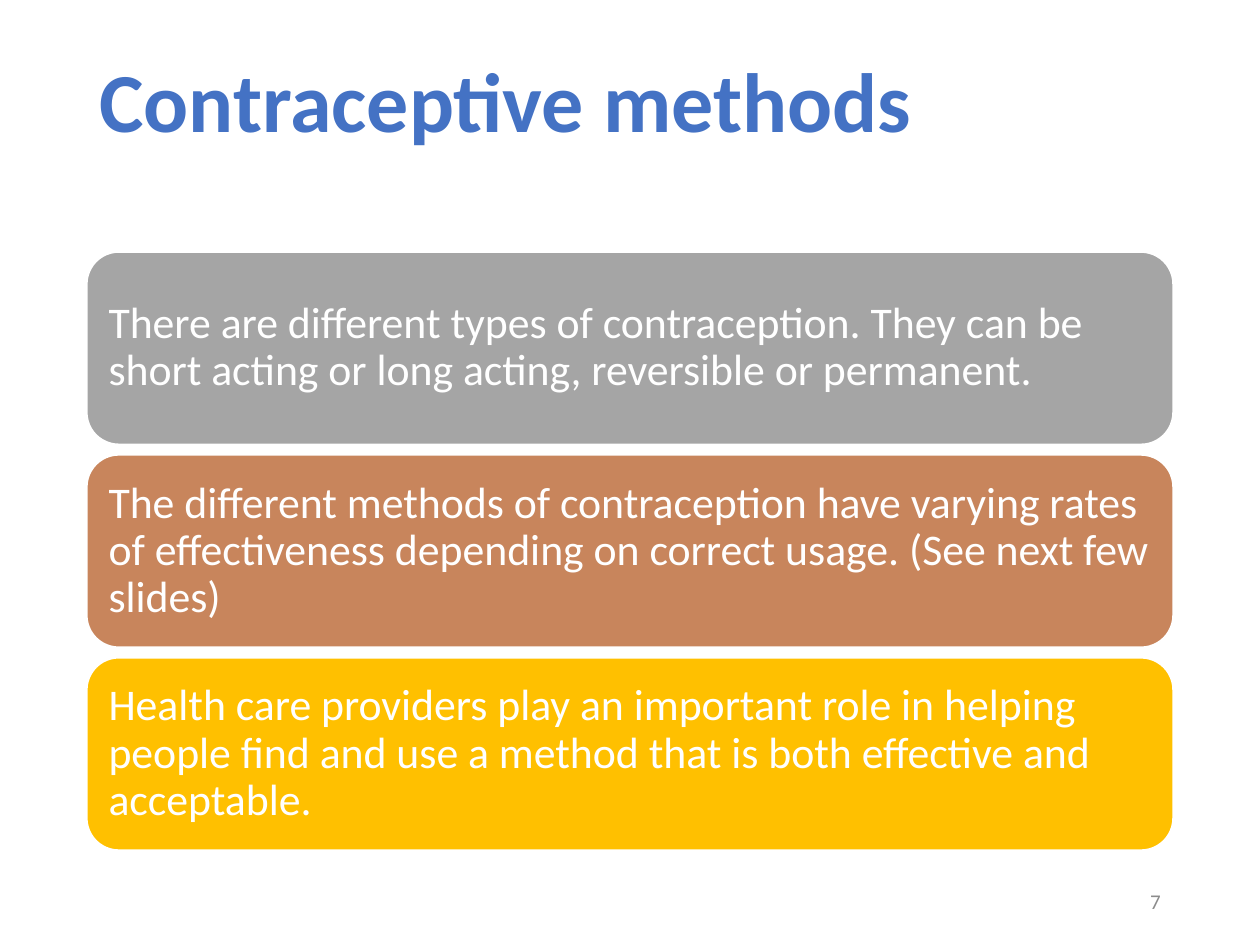
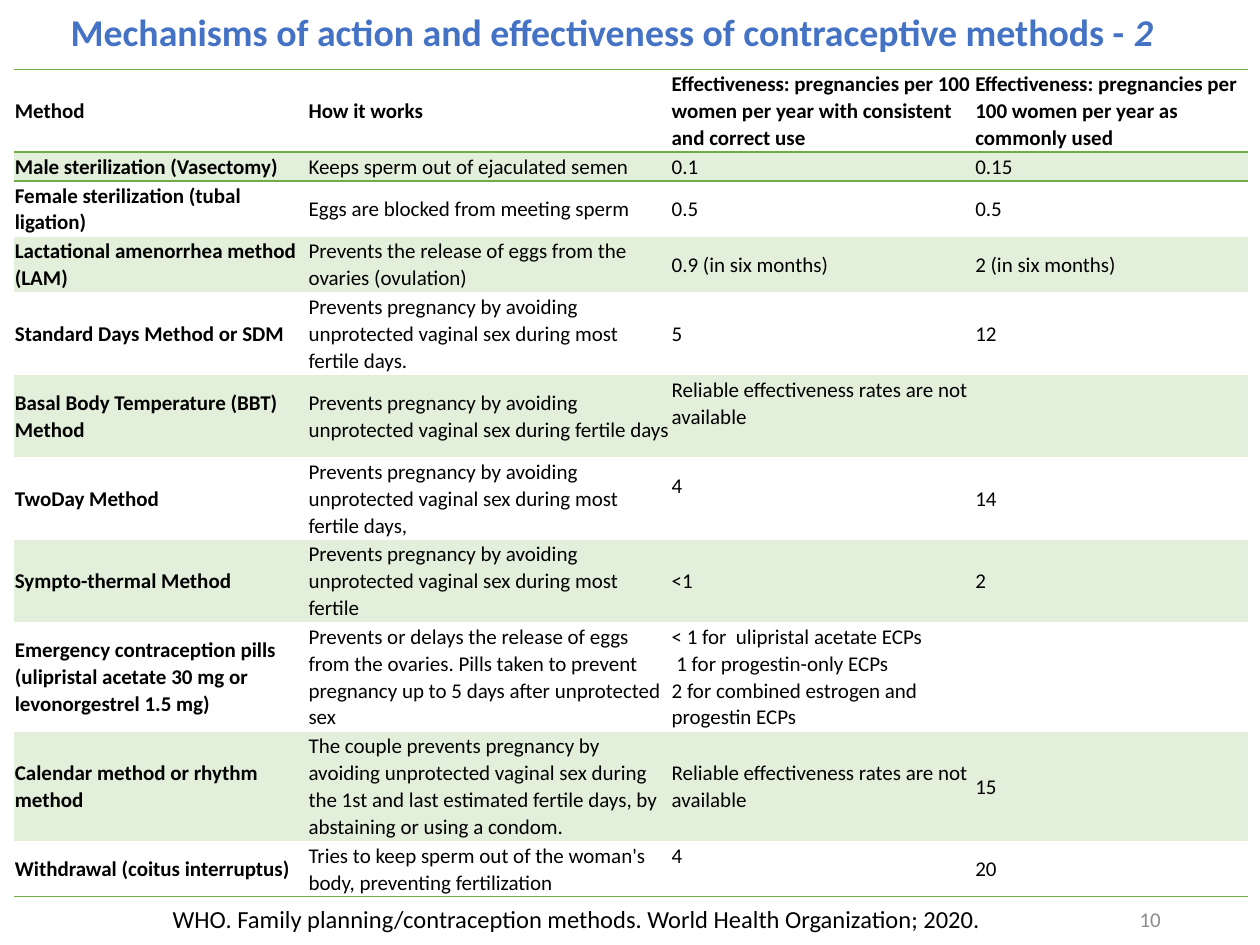
from dataclasses import dataclass

from lxml.etree import SubElement
from pptx import Presentation
from pptx.dml.color import RGBColor
from pptx.enum.shapes import MSO_SHAPE
from pptx.enum.text import MSO_ANCHOR, MSO_AUTO_SIZE, PP_ALIGN
from pptx.oxml.ns import qn
from pptx.slide import Slide
from pptx.table import _Cell
from pptx.text.text import TextFrame
from pptx.util import Cm, Pt

# Shared style
COLORS = {
    "title": "4472C4",
    "text": "000000",
    "white": "FFFFFF",
    "number": "8C8C8C",
    "types": "A5A5A5",
    "rates": "C8855C",
    "providers": "FFC000",
    "rule": "70AD47",
    "band": "E2EFDA",
}
FONT = "Calibri"
PLAIN_TABLE_STYLE = "{2D5ABB26-0587-4C30-8999-92F81FD0307C}"
LINE_HEIGHT = 0.54
CELL_INSET = 0.02


@dataclass(frozen=True)
class Box:
    left: float
    top: float
    width: float
    height: float

    def lengths(self) -> tuple[Cm, Cm, Cm, Cm]:
        return Cm(self.left), Cm(self.top), Cm(self.width), Cm(self.height)


@dataclass(frozen=True)
class Message:
    text: str
    color: str


@dataclass(frozen=True)
class Method:
    name: str
    mechanism: str
    correct_use: str
    common_use: str
    lines: int
    raised: bool = False  # correct-use text sits half a line above the middle


NUMBER_BOX = Box(17.93, 17.65, 5.72, 1.02)
LOW_NUMBER_BOX = Box(17.93, 18.02, 5.72, 1.02)  # clear of the table's last rule
SOURCE_BOX = Box(3.23, 18.1, 22.17, 0.86)
TABLE_BOX = Box(0.28, 1.4, 24.87, 16.64)
FIRST_MESSAGE = Box(1.75, 5.08, 21.9, 3.88)
MESSAGE_STEP = 4.09

MESSAGES = [
    Message("There are different types of contraception. They can be short acting "
            "or long acting, reversible or permanent.", "types"),
    Message("The different methods of contraception have varying rates of effectiveness "
            "depending on correct usage. (See next few slides)", "rates"),
    Message("Health care providers play an important role in helping people find and use "
            "a method that is both effective and acceptable.", "providers"),
]

COLUMN_WIDTHS = [5.92, 7.32, 6.12, 5.51]
AVOIDING = "Prevents pregnancy by avoiding unprotected vaginal sex during "
UNAVAILABLE = "Reliable effectiveness rates are not available"
METHODS = [
    Method("Method", "How it works",
           "Effectiveness: pregnancies per 100 women per year with consistent and correct use",
           "Effectiveness: pregnancies per 100 women per year as commonly used", 3),
    Method("Male sterilization (Vasectomy)", "Keeps sperm out of ejaculated semen",
           "0.1", "0.15", 1),
    Method("Female sterilization (tubal ligation)", "Eggs are blocked from meeting sperm",
           "0.5", "0.5", 2),
    Method("Lactational amenorrhea method (LAM)",
           "Prevents the release of eggs from the ovaries (ovulation)",
           "0.9 (in six months)", "2 (in six months)", 2),
    Method("Standard Days Method or SDM", AVOIDING + "most fertile days.", "5", "12", 3),
    Method("Basal Body Temperature (BBT) Method", AVOIDING + "fertile days",
           UNAVAILABLE, "", 3, raised=True),
    Method("TwoDay Method", AVOIDING + "most fertile days,", "4", "14", 3, raised=True),
    Method("Sympto-thermal Method", AVOIDING + "most fertile", "<1", "2", 3),
    Method("Emergency contraception pills (ulipristal acetate 30 mg or levonorgestrel 1.5 mg)",
           "Prevents or delays the release of eggs from the ovaries. Pills taken to prevent "
           "pregnancy up to 5 days after unprotected sex",
           "< 1 for  ulipristal acetate ECPs\n 1 for progestin-only ECPs\n"
           "2 for combined estrogen and progestin ECPs", "", 4),
    Method("Calendar method or rhythm method",
           "The couple prevents pregnancy by avoiding unprotected vaginal sex during the 1st "
           "and last estimated fertile days, by abstaining or using a condom.",
           UNAVAILABLE, "15", 4),
    Method("Withdrawal (coitus interruptus)",
           "Tries to keep sperm out of the woman's body, preventing fertilization",
           "4", "20", 2, raised=True),
]


def rgb(name: str) -> RGBColor:
    return RGBColor.from_string(COLORS[name])


def format_text(frame: TextFrame, size: float, color: str, bold: bool = False,
                spacing: float = 1.0, align: PP_ALIGN = PP_ALIGN.LEFT) -> None:
    for paragraph in frame.paragraphs:
        paragraph.alignment = align
        paragraph.line_spacing = spacing
        for run in paragraph.runs:
            run.font.name = FONT
            run.font.size = Pt(size)
            run.font.bold = bold
            run.font.color.rgb = rgb(color)


def set_title(slide: Slide, text: str, box: Box, size: float) -> TextFrame:
    title = slide.shapes.title
    title.left, title.top, title.width, title.height = box.lengths()
    frame = title.text_frame
    frame.text = text
    frame.auto_size = MSO_AUTO_SIZE.NONE
    frame.vertical_anchor = MSO_ANCHOR.MIDDLE
    format_text(frame, size, "title", bold=True, spacing=0.9)
    return frame


def add_label(slide: Slide, text: str, box: Box, size: float, color: str,
              align: PP_ALIGN = PP_ALIGN.LEFT,
              anchor: MSO_ANCHOR = MSO_ANCHOR.TOP) -> None:
    frame = slide.shapes.add_textbox(*box.lengths()).text_frame
    frame.word_wrap = True
    frame.vertical_anchor = anchor
    frame.text = text
    format_text(frame, size, color, align=align)


def add_slide_number(slide: Slide, number: int, box: Box = NUMBER_BOX) -> None:
    add_label(slide, str(number), box, 12, "number", PP_ALIGN.RIGHT, MSO_ANCHOR.MIDDLE)


def add_message(slide: Slide, message: Message, box: Box) -> None:
    panel = slide.shapes.add_shape(MSO_SHAPE.ROUNDED_RECTANGLE, *box.lengths())
    panel.shadow.inherit = False
    panel.fill.solid()
    panel.fill.fore_color.rgb = rgb(message.color)
    panel.line.color.rgb = rgb("white")
    panel.line.width = Pt(1)
    frame = panel.text_frame
    frame.word_wrap = True
    frame.vertical_anchor = MSO_ANCHOR.MIDDLE
    frame.margin_left = frame.margin_right = Cm(0.25)
    frame.text = message.text
    format_text(frame, 25, "white", spacing=0.9)


def add_rule(cell: _Cell, edge: str) -> None:
    """Draw a green border; edge is lnT or lnB."""
    properties = cell._tc.get_or_add_tcPr()
    line = SubElement(properties, qn(f"a:{edge}"), w=str(Pt(1)))
    fill = SubElement(line, qn("a:solidFill"))
    SubElement(fill, qn("a:srgbClr"), val=COLORS["rule"])
    properties.insert(0, line)


def fill_cell(cell: _Cell, text: str, bold: bool, banded: bool) -> None:
    cell.text = text
    cell.vertical_anchor = MSO_ANCHOR.MIDDLE
    cell.margin_left = cell.margin_right = Cm(CELL_INSET)
    cell.margin_top = cell.margin_bottom = Cm(CELL_INSET)
    format_text(cell.text_frame, 12, "text", bold, spacing=1.05)
    if banded:
        cell.fill.solid()
        cell.fill.fore_color.rgb = rgb("band")
    else:
        cell.fill.background()


def add_method_table(slide: Slide) -> None:
    frame = slide.shapes.add_table(len(METHODS), len(COLUMN_WIDTHS), *TABLE_BOX.lengths())
    for style in frame.element.iter(qn("a:tableStyleId")):
        style.text = PLAIN_TABLE_STYLE
    table = frame.table
    table.first_row = False
    table.horz_banding = False
    for column, width in zip(table.columns, COLUMN_WIDTHS):
        column.width = Cm(width)

    last = len(METHODS) - 1
    for row, method in enumerate(METHODS):
        table.rows[row].height = Cm(method.lines * LINE_HEIGHT + 2 * CELL_INSET)
        texts = (method.name, method.mechanism, method.correct_use, method.common_use)
        for column, text in enumerate(texts):
            cell = table.cell(row, column)
            fill_cell(cell, text, bold=row == 0 or column == 0, banded=row % 2 == 1)
            if row in (0, last):
                add_rule(cell, "lnB")
            if row in (0, 1):
                add_rule(cell, "lnT")
        if method.raised:
            table.cell(row, 2).margin_bottom = Cm(LINE_HEIGHT)


def main() -> None:
    deck = Presentation()
    deck.slide_width, deck.slide_height = Cm(25.4), Cm(19.05)
    title_only = deck.slide_layouts[5]

    # Contraceptive methods: three key messages
    overview = deck.slides.add_slide(title_only)
    set_title(overview, "Contraceptive methods", Box(1.75, 0.28, 21.9, 3.68), 48)
    for index, message in enumerate(MESSAGES):
        top = FIRST_MESSAGE.top + index * MESSAGE_STEP
        add_message(overview, message, Box(FIRST_MESSAGE.left, top,
                                           FIRST_MESSAGE.width, FIRST_MESSAGE.height))
    add_slide_number(overview, 7)

    # Mechanisms and effectiveness: comparison table
    comparison = deck.slides.add_slide(title_only)
    heading = set_title(
        comparison, "Mechanisms of action and effectiveness of contraceptive methods - ",
        Box(1.17, 0.18, 23.06, 1.02), 21.6)
    part = heading.paragraphs[0].add_run()
    part.text = "2"
    format_text(heading, 21.6, "title", bold=True, spacing=0.9)
    part.font.italic = True
    add_method_table(comparison)
    add_slide_number(comparison, 10, LOW_NUMBER_BOX)
    add_label(comparison,
              "WHO. Family planning/contraception methods. World Health Organization; 2020.",
              SOURCE_BOX, 14, "text")

    deck.save("out.pptx")


if __name__ == "__main__":
    main()
